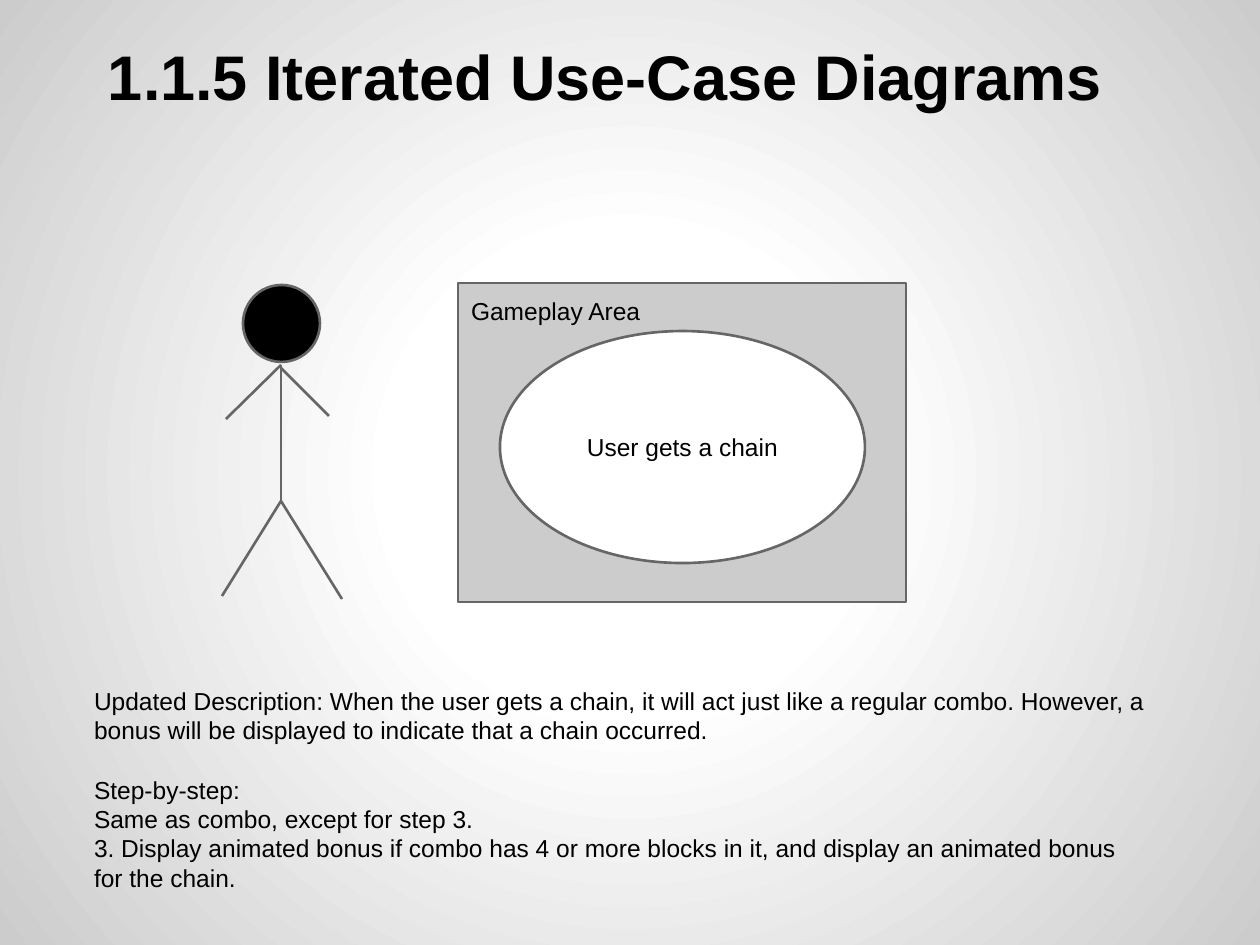
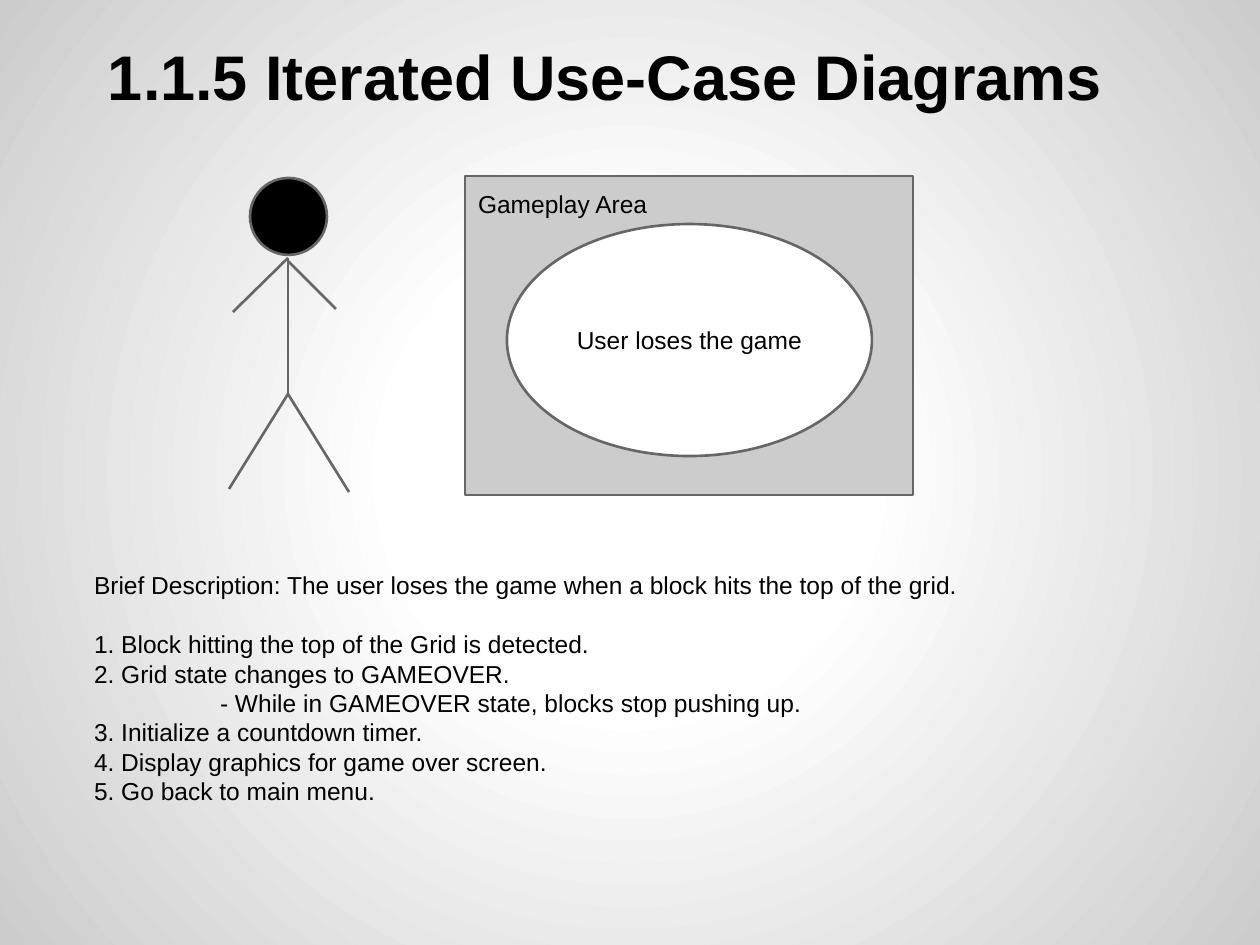
from pptx import Presentation
from pptx.dml.color import RGBColor
from pptx.enum.shapes import MSO_CONNECTOR, MSO_SHAPE
from pptx.enum.text import MSO_ANCHOR, MSO_AUTO_SIZE, PP_ALIGN
from pptx.oxml import parse_xml
from pptx.oxml.ns import nsdecls
from pptx.util import Pt
from lxml import etree

TITLE = "1.1.5 Iterated Use-Case Diagrams"
SYSTEM = "Gameplay Area"
# Each description is a list of blocks, set apart by one line
USE_CASES = [
    {
        "goal": "User gets a chain",
        "diagram_at": (222, 283),
        "description_at": (81, 673, 1084, 224),
        "description": [
            ["Updated Description: When the user gets a chain, it will act just like a "
             "regular combo. However, a bonus will be displayed to indicate that a chain "
             "occurred."],
            ["Step-by-step:",
             "Same as combo, except for step 3.",
             "3. Display animated bonus if combo has 4 or more blocks in it, and display "
             "an animated bonus for the chain."],
        ],
    },
    {
        "goal": "User loses the game",
        "diagram_at": (229, 176),
        "description_at": (81, 557, 1084, 315),
        "description": [
            ["Brief Description: The user loses the game when a block hits the top of "
             "the grid."],
            ["1. Block hitting the top of the Grid is detected.",
             "2. Grid state changes to GAMEOVER.",
             "- While in GAMEOVER state, blocks stop pushing up.",
             "3. Initialize a countdown timer.",
             "4. Display graphics for game over screen.",
             "5. Go back to main menu."],
        ],
    },
]

# Diagram parts, in px from the diagram's top left corner
HEAD = (21, 2, 77, 77)
NECK, SHOULDER, HIP = (59, 82), (59, 85), (59, 218)
LIMBS = [
    (NECK, HIP),
    ((4, 136), NECK),
    ((107, 133), SHOULDER),
    ((0, 313), HIP),
    ((120, 316), HIP),
]
SYSTEM_BOX = (236, 0, 448, 319)
GOAL_OVAL = (278, 48, 365, 232)

TITLE_BOX = (63, 38, 1134, 158)
TITLE_INDENT = 32
SUBSTEP_INDENT = 126
INSET = 13

BLACK = RGBColor(0x00, 0x00, 0x00)
WHITE = RGBColor(0xFF, 0xFF, 0xFF)
SILVER = RGBColor(0xCC, 0xCC, 0xCC)
GRAY = RGBColor(0x66, 0x66, 0x66)
BACKDROP = [(0, WHITE), (30, WHITE), (100, SILVER)]

TITLE_FONT = {"name": "Arial", "size": Pt(36), "bold": True}
TEXT_FONT = {"name": "Arial", "size": Pt(14), "bold": False}
BLOCK_GAP = Pt(17)
OUTLINE = Pt(1.5)

CIRCLE = MSO_SHAPE.FLOWCHART_CONNECTOR
RECTANGLE = MSO_SHAPE.RECTANGLE
OVAL = MSO_SHAPE.OVAL
STRAIGHT = MSO_CONNECTOR.STRAIGHT
TOP, MIDDLE = MSO_ANCHOR.TOP, MSO_ANCHOR.MIDDLE
LEFT, CENTER = PP_ALIGN.LEFT, PP_ALIGN.CENTER
NO_FIT = MSO_AUTO_SIZE.NONE


def px(length):
    return round(length * 914400 / 126)


def shifted(origin, box):
    """Move a point or box from diagram to slide px, and turn it into EMU."""
    (left, top), (x, y, *size) = origin, box
    return [px(length) for length in (left + x, top + y, *size)]


def set_backdrop(master):
    stops = "".join(
        f'<a:gs pos="{percent * 1000}"><a:srgbClr val="{color}"/></a:gs>'
        for percent, color in BACKDROP)
    background = parse_xml(
        f'<p:bg {nsdecls("p", "a")}><p:bgPr><a:gradFill rotWithShape="1">'
        f'<a:gsLst>{stops}</a:gsLst><a:path path="circle">'
        '<a:fillToRect l="50000" t="50000" r="50000" b="50000"/></a:path>'
        '</a:gradFill><a:effectLst/></p:bgPr></p:bg>')
    slide_data = master.element.cSld
    if slide_data.bg is not None:
        slide_data.remove(slide_data.bg)
    slide_data.insert(0, background)


def format_frame(frame, anchor, top_inset=INSET):
    settings = {
        "word_wrap": True, "auto_size": NO_FIT, "vertical_anchor": anchor,
        "margin_left": px(INSET), "margin_right": px(INSET),
        "margin_top": px(top_inset), "margin_bottom": px(INSET),
    }
    for name, value in settings.items():
        setattr(frame, name, value)


def write(paragraph, text, font, align=LEFT, margin=0, indent=0):
    paragraph.text = text
    paragraph.alignment = align
    properties = paragraph._p.get_or_add_pPr()
    properties.set("marL", str(px(margin)))
    properties.set("indent", str(px(indent)))
    etree.SubElement(properties, f"{{{properties.nsmap['a']}}}buNone")
    paragraph.space_before = Pt(0)
    for name, value in font.items():
        setattr(paragraph.font, name, value)
    paragraph.font.color.rgb = BLACK


def place(placeholder, box):
    for name, length in zip(("left", "top", "width", "height"), box):
        setattr(placeholder, name, px(length))


def add_outlined(shapes, kind, box, fill):
    shape = shapes.add_shape(kind, *box)
    shape.shadow.inherit = False
    shape.fill.solid()
    shape.fill.fore_color.rgb = fill
    shape.line.color.rgb = GRAY
    shape.line.width = OUTLINE
    return shape


def add_labelled(shapes, kind, box, fill, label, anchor, align):
    frame = add_outlined(shapes, kind, box, fill).text_frame
    format_frame(frame, anchor)
    write(frame.paragraphs[0], label, TEXT_FONT, align)


def add_actor(slide, origin):
    actor = slide.shapes.add_group_shape().shapes
    for start, end in LIMBS:
        limb = actor.add_connector(
            STRAIGHT, *shifted(origin, start), *shifted(origin, end))
        limb.line.color.rgb = GRAY
        limb.line.width = OUTLINE
        properties = limb._element.spPr
        etree.SubElement(properties, f"{{{properties.nsmap['a']}}}effectLst")
    add_outlined(actor, CIRCLE, shifted(origin, HEAD), BLACK)


def add_title(slide):
    title = slide.shapes.title
    place(title, TITLE_BOX)
    format_frame(title.text_frame, TOP, top_inset=0)
    write(title.text_frame.paragraphs[0], TITLE, TITLE_FONT, indent=TITLE_INDENT)


def add_description(slide, box, blocks):
    body = slide.placeholders[1]
    place(body, box)
    frame = body.text_frame
    format_frame(frame, TOP)
    paragraph = frame.paragraphs[0]
    for block_number, block in enumerate(blocks):
        for line_number, line in enumerate(block):
            if block_number or line_number:
                paragraph = frame.add_paragraph()
            margin = SUBSTEP_INDENT if line.startswith("- ") else 0
            write(paragraph, line, TEXT_FONT, margin=margin)
            if block_number and not line_number:
                paragraph.space_before = BLOCK_GAP


def main():
    deck = Presentation()
    deck.slide_width, deck.slide_height = px(1260), px(945)
    set_backdrop(deck.slide_master)
    for case in USE_CASES:
        slide = deck.slides.add_slide(deck.slide_layouts[1])
        origin = case["diagram_at"]
        add_title(slide)
        add_actor(slide, origin)
        add_labelled(slide.shapes, RECTANGLE, shifted(origin, SYSTEM_BOX), SILVER,
                     SYSTEM, TOP, LEFT)
        add_labelled(slide.shapes, OVAL, shifted(origin, GOAL_OVAL), WHITE,
                     case["goal"], MIDDLE, CENTER)
        add_description(slide, case["description_at"], case["description"])
    deck.save("out.pptx")


if __name__ == "__main__":
    main()
